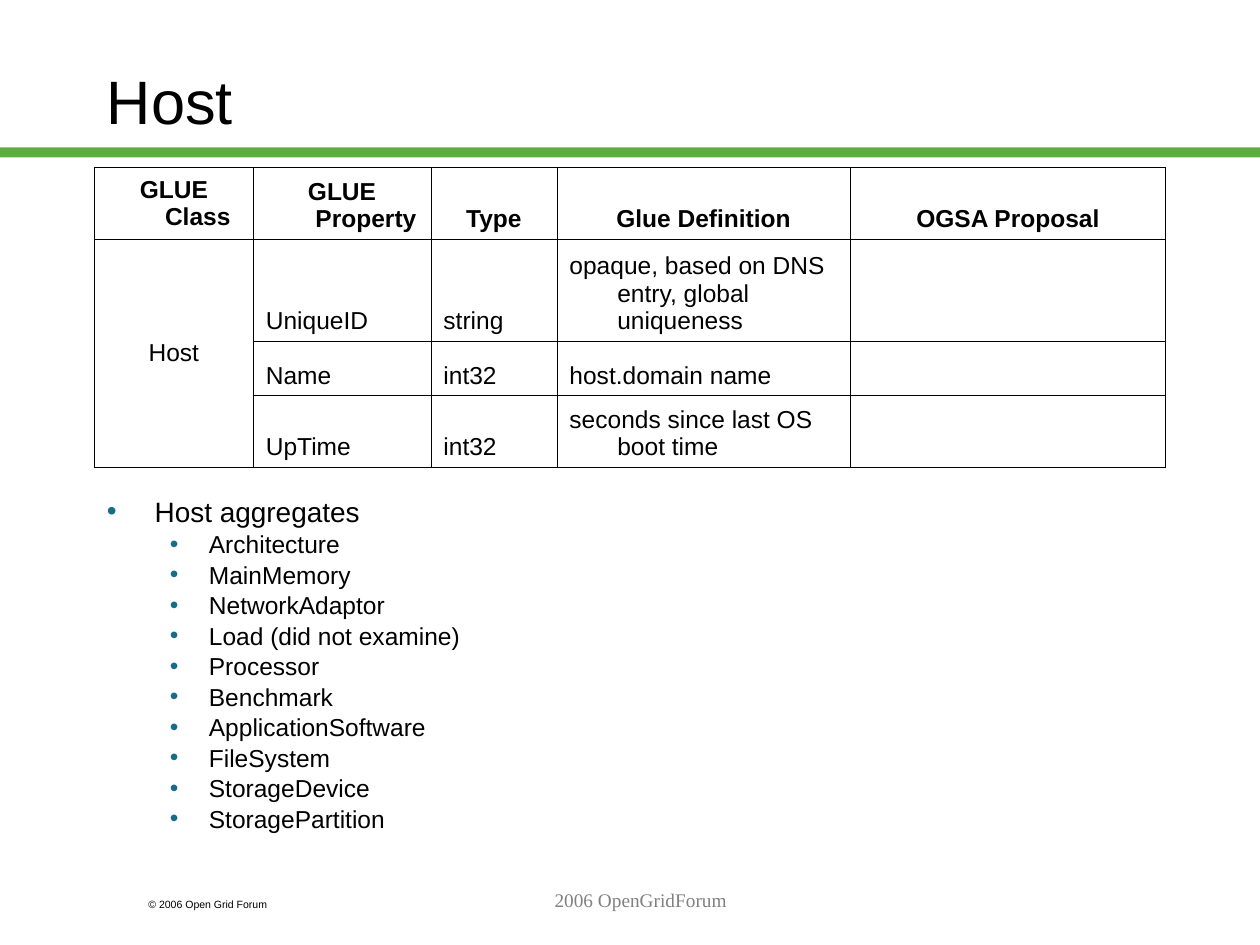
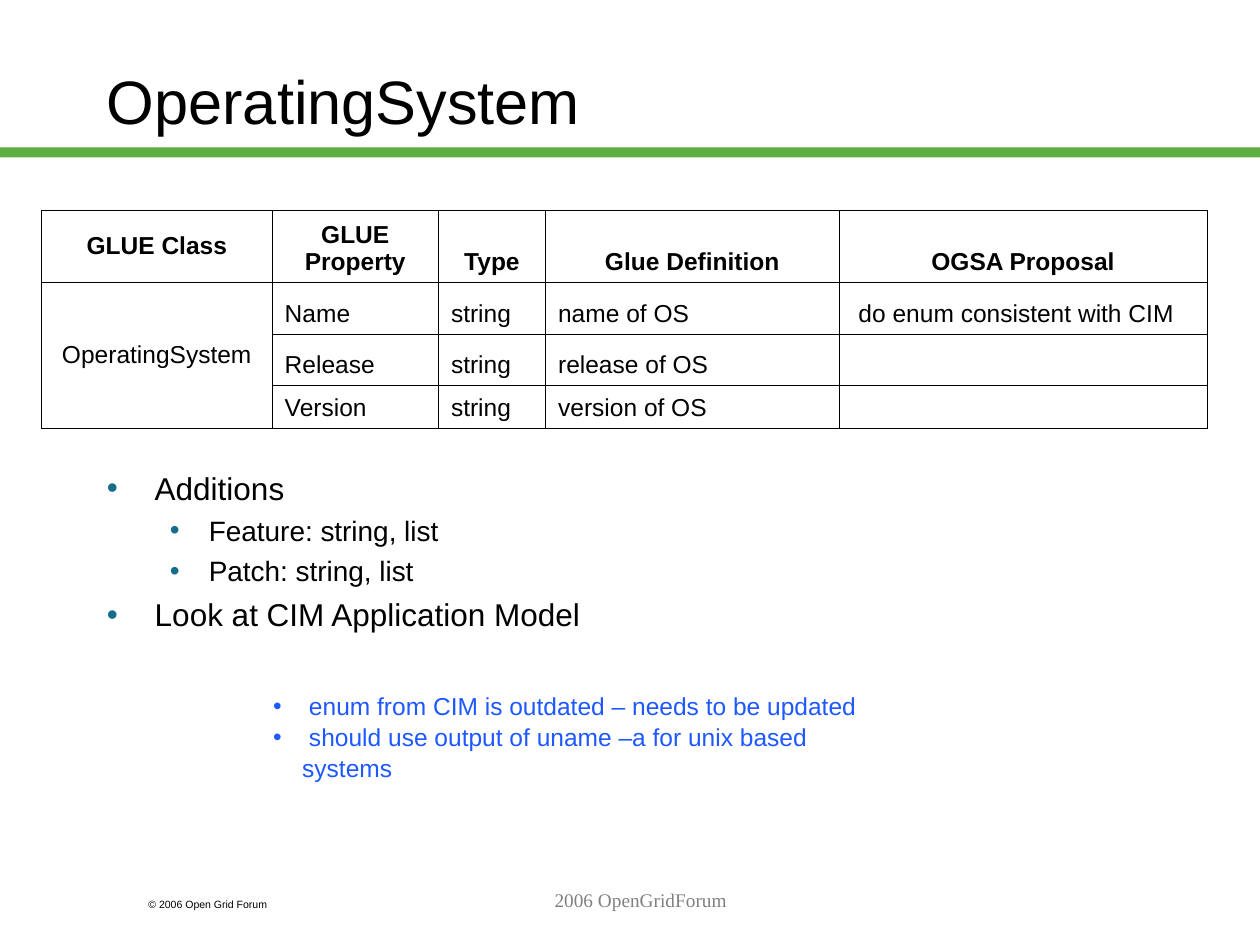
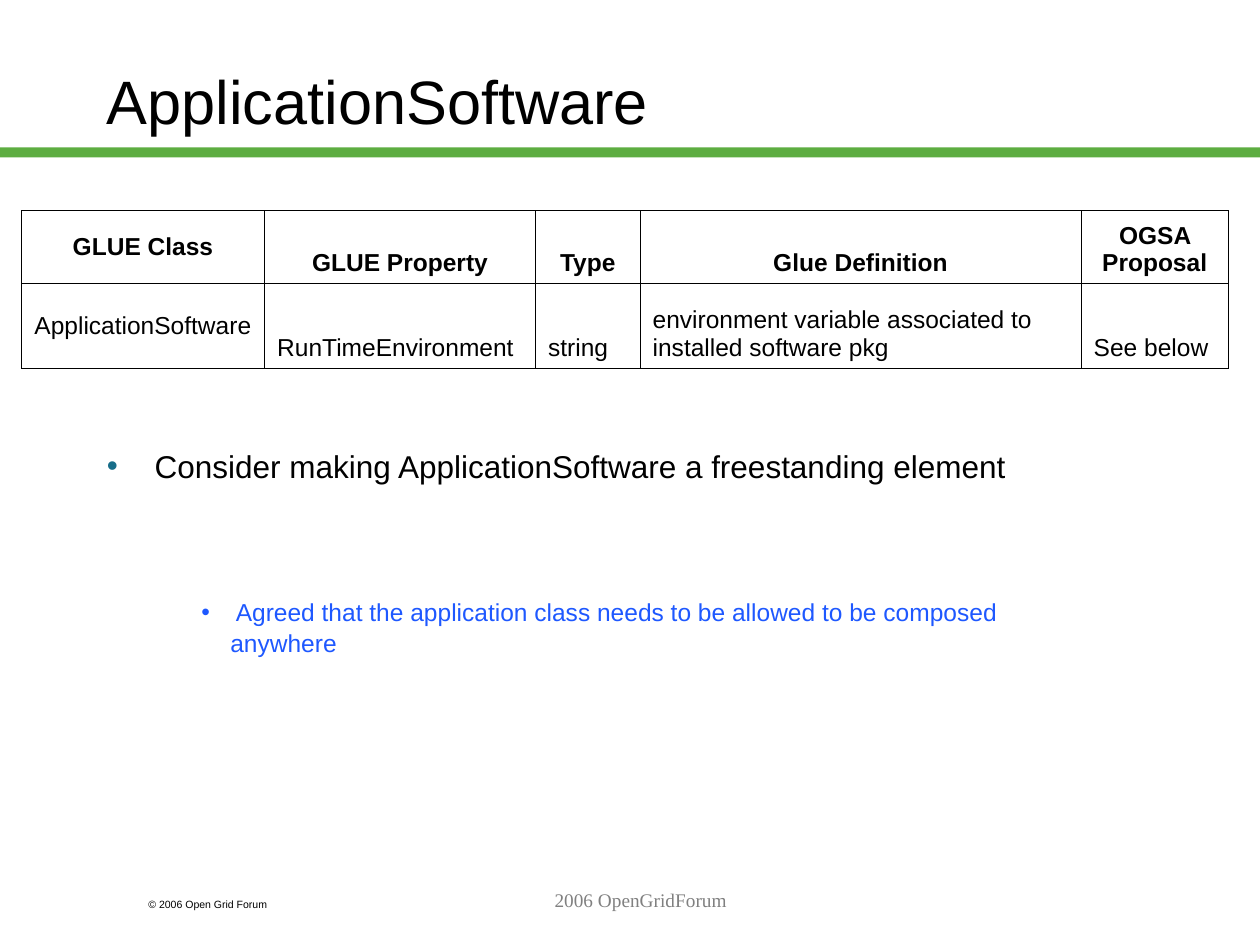
from dataclasses import dataclass
from typing import NamedTuple

from lxml import etree
from pptx import Presentation
from pptx.dml.color import RGBColor
from pptx.enum.shapes import MSO_SHAPE as Shape
from pptx.enum.text import MSO_ANCHOR as Anchor, PP_ALIGN as Align
from pptx.oxml.ns import qn
from pptx.util import Inches, Pt

GREEN, TEAL, BLUE, GRAY, BLACK = "5DAD41", "176D89", "1E58FF", "808080", "000000"
SANS, SERIF = "Arial", "Times New Roman"
HEADERS = ["GLUE Class", "GLUE Property", "Type", "Glue Definition", "OGSA Proposal"]


class Box(NamedTuple):
    left: float
    top: float
    width: float
    height: float


class Item(NamedTuple):
    text: str
    size: float
    level: int = 0


@dataclass
class ClassTable:
    left: float
    top: float
    cols: list[float]
    rows: list[float]
    name: str
    properties: list[list[str]]
    hanging: float = 0


@dataclass
class Bullets:
    box: Box
    items: list[Item]
    indents: tuple[tuple[float, float], ...] = ((0.38, 0.38), (0.81, 0.31))
    bullet: str = TEAL
    color: str = BLACK
    spacing: float = 1
    before: float = 0.25  # share of the text size


@dataclass
class Page:
    title: str
    table: ClassTable
    lists: list[Bullets]


def note(box: Box, lines: list[str]) -> Bullets:
    """Blue remark with bullets of its own colour and tight paragraphs."""
    return Bullets(box, [Item(line, 14) for line in lines], ((0.23, 0.23),),
                   BLUE, BLUE, spacing=1.04, before=0)


PAGES = [
    Page(
        "Host",
        ClassTable(0.75, 1.33, [1.26, 1.41, 1, 2.33, 2.5], [0.57, 0.81, 0.43, 0.57], "Host", [
            ["UniqueID", "string", "opaque, based on DNS entry, global uniqueness", ""],
            ["Name", "int32", "host.domain name", ""],
            ["UpTime", "int32", "seconds since last OS boot time", ""],
        ], hanging=0.38),
        [Bullets(Box(0.75, 3.92, 8.5, 2.92), [Item("Host aggregates", 16)] + [
            Item(name, 14, 1) for name in (
                "Architecture", "MainMemory", "NetworkAdaptor", "Load (did not examine)",
                "Processor", "Benchmark", "ApplicationSoftware", "FileSystem",
                "StorageDevice", "StoragePartition")
        ], spacing=0.83)],
    ),
    Page(
        "OperatingSystem",
        ClassTable(0.33, 1.67, [1.83, 1.32, 0.85, 2.33, 2.92], [0.57, 0.41, 0.41, 0.34],
                   "OperatingSystem", [
            ["Name", "string", "name of OS", " do enum consistent with CIM"],
            ["Release", "string", "release of OS", ""],
            ["Version", "string", "version of OS", ""],
        ]),
        [
            Bullets(Box(0.75, 3.67, 8.5, 1.5), [
                Item("Additions", 18),
                Item("Feature: string, list", 16, 1),
                Item("Patch: string, list", 16, 1),
                Item("Look at CIM Application Model", 18),
            ]),
            note(Box(2.07, 5.43, 5.05, 0.57), [
                " enum from CIM is outdated – needs to be updated",
                " should use output of uname –a for unix based systems",
            ]),
        ],
    ),
    Page(
        "ApplicationSoftware",
        ClassTable(0.17, 1.67, [1.93, 2.15, 0.83, 3.5, 1.17], [0.58, 0.67],
                   "ApplicationSoftware", [
            ["RunTimeEnvironment", "string",
             "environment variable associated to installed software pkg", "See below"],
        ]),
        [
            Bullets(Box(0.75, 3.5, 8.5, 0.67), [
                Item("Consider making ApplicationSoftware a freestanding element", 18),
            ]),
            note(Box(1.5, 4.68, 7.33, 0.34), [
                " Agreed that the application class needs to be allowed to be composed anywhere",
            ]),
        ],
    ),
]


def rgb(color: str) -> RGBColor:
    return RGBColor.from_string(color)


def write(p, text: str, *, size: float, color: str = BLACK, font: str = SANS,
          bold: bool = False, align=Align.LEFT) -> None:
    p.alignment = align
    if not text:
        p._p.get_or_add_endParaRPr().set("sz", str(size * 100))
        return
    r = p.add_run()
    r.text = text
    r.font.size, r.font.name, r.font.bold = Pt(size), font, bold
    r.font.color.rgb = rgb(color)


def set_indent(p, left: float, hanging: float) -> None:
    pPr = p._p.get_or_add_pPr()
    pPr.set("marL", str(Inches(left)))
    pPr.set("indent", str(-Inches(hanging)))


def set_bullet(p, color: str) -> None:
    pPr = p._p.get_or_add_pPr()
    clr = etree.SubElement(pPr, qn("a:buClr"))
    etree.SubElement(clr, qn("a:srgbClr")).set("val", color)
    etree.SubElement(pPr, qn("a:buFont")).set("typeface", SANS)
    etree.SubElement(pPr, qn("a:buChar")).set("char", "•")


def set_borders(cell, color: str, width: float) -> None:
    tcPr = cell._tc.get_or_add_tcPr()
    for side in ("lnL", "lnR", "lnT", "lnB"):
        ln = etree.SubElement(tcPr, qn(f"a:{side}"))
        ln.set("w", str(Pt(width)))
        fill = etree.SubElement(ln, qn("a:solidFill"))
        etree.SubElement(fill, qn("a:srgbClr")).set("val", color)


def add_frame(s, box: Box, anchor=Anchor.TOP):
    tf = s.shapes.add_textbox(*map(Inches, box)).text_frame
    tf.word_wrap = True
    tf.vertical_anchor = anchor
    return tf


def add_label(s, box: Box, text: str, anchor=Anchor.TOP, **fmt) -> None:
    write(add_frame(s, box, anchor).paragraphs[0], text, **fmt)


def add_base(s, title: str) -> None:
    """Band, title and both footers."""
    band = s.shapes.add_shape(Shape.RECTANGLE, *map(Inches, Box(0, 1.17, 10, 0.08)))
    band.shadow.inherit = False
    band.fill.solid()
    band.fill.fore_color.rgb = rgb(GREEN)
    band.line.fill.background()
    add_label(s, Box(1.08, 7.08, 1.5, 0.2), "© 2006 Open Grid Forum", size=6)
    add_label(s, Box(0.75, 0.17, 8.5, 1.25), title, Anchor.MIDDLE, size=35)
    add_label(s, Box(2.17, 7, 5.83, 0.5), "2006 OpenGridForum",
              size=11, color=GRAY, font=SERIF, align=Align.CENTER)


def add_class_table(s, spec_table: ClassTable) -> None:
    t = spec_table
    frame = s.shapes.add_table(len(t.rows), len(t.cols), Inches(t.left), Inches(t.top),
                               Inches(sum(t.cols)), Inches(sum(t.rows)))
    table = frame.table
    table.first_row = table.horz_banding = False
    for col, width in zip(table.columns, t.cols):
        col.width = Inches(width)
    for row, height in zip(table.rows, t.rows):
        row.height = Inches(height)
    names = [t.name] + [""] * (len(t.properties) - 1)
    texts = [HEADERS] + [[name, *values] for name, values in zip(names, t.properties)]
    for i, row in enumerate(texts):
        for j, text in enumerate(row):
            cell = table.cell(i, j)
            set_borders(cell, BLACK, 0.45)
            cell.fill.background()
            cell.vertical_anchor = Anchor.BOTTOM if j else Anchor.MIDDLE
            p = cell.text_frame.paragraphs[0]
            if t.hanging:
                set_indent(p, t.hanging, t.hanging)
            write(p, text, size=14, bold=i == 0,
                  align=Align.CENTER if i == 0 or j == 0 else Align.LEFT)
    if len(t.properties) > 1:
        table.cell(1, 0).merge(table.cell(len(t.properties), 0))


def add_bullets(s, b: Bullets) -> None:
    tf = add_frame(s, b.box)
    for i, item in enumerate(b.items):
        p = tf.add_paragraph() if i else tf.paragraphs[0]
        p.level = item.level
        set_indent(p, *b.indents[item.level])
        set_bullet(p, b.bullet)
        p.line_spacing = b.spacing
        p.space_before = Pt(b.before * item.size if i else 0)
        write(p, item.text, size=item.size, color=b.color)


def main() -> None:
    prs = Presentation()
    prs.slide_width, prs.slide_height = Inches(10), Inches(7.5)
    for page in PAGES:
        s = prs.slides.add_slide(prs.slide_layouts[6])
        add_base(s, page.title)
        add_class_table(s, page.table)
        for bullets in page.lists:
            add_bullets(s, bullets)
    prs.save("out.pptx")


if __name__ == "__main__":
    main()
